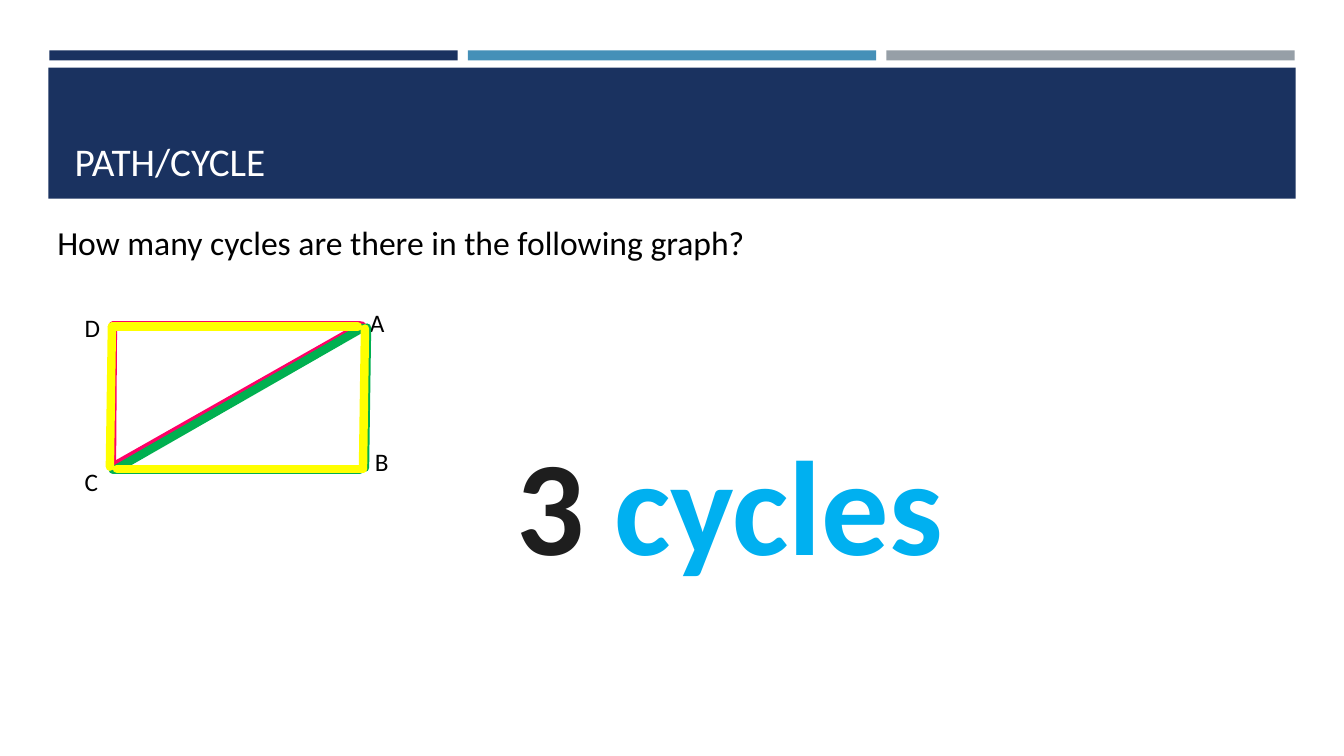
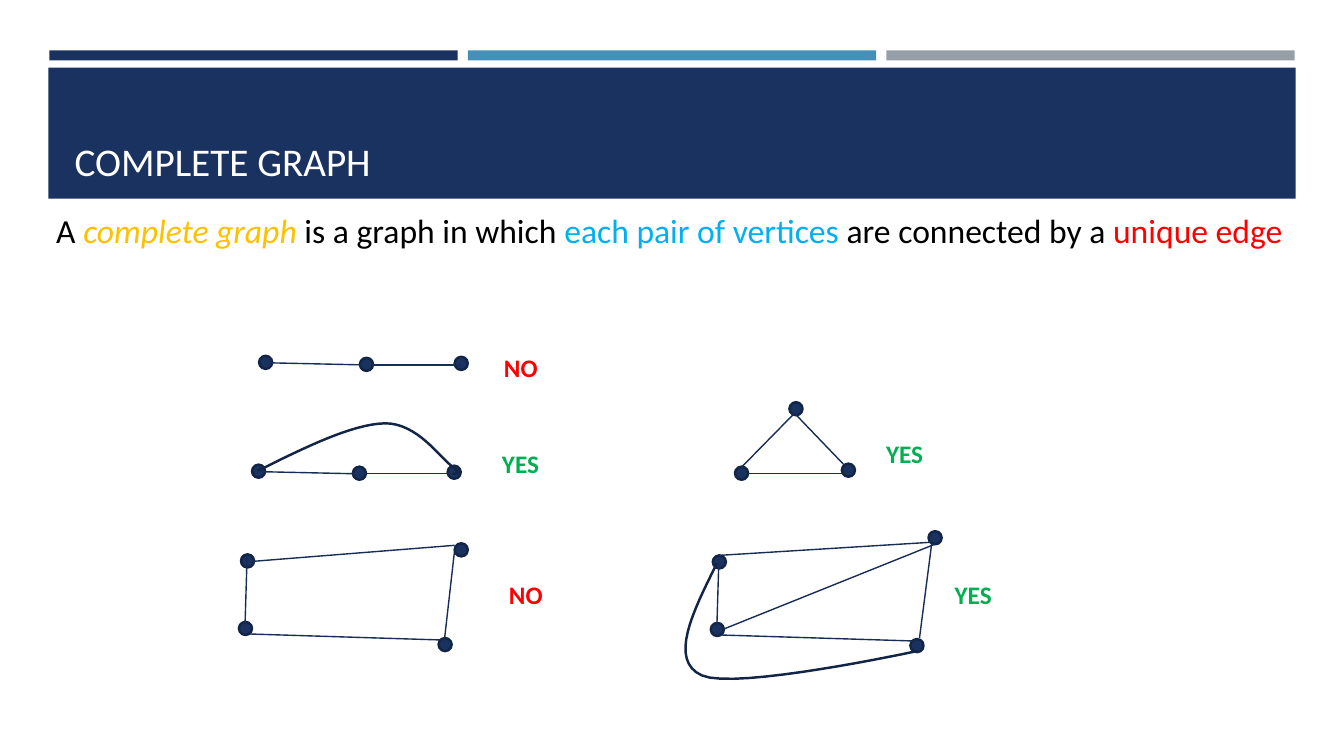
import lxml.etree
import pptx
import pptx.dml.color
import pptx.enum.shapes
import pptx.enum.text
import pptx.oxml.ns
import pptx.util

# Shared look: a grid of one-inch cells, one font, one palette
COLUMNS, ROWS = 13.33, 7.5
FONT = "Calibri"
NAVY, BLUE, GREY, WHITE, BLACK = "1A3260", "4590B8", "969FA7", "FFFFFF", "000000"
OUTLINE, EDGE = "132547", "172D56"
RED, GREEN, SKY, AMBER = "FF0000", "00B050", "00B0F0", "FFC000"
PINK, YELLOW, CHARCOAL = "FF0066", "FFFF00", "1E1E1E"
DOT = 0.13
SHAPES = pptx.enum.shapes.MSO_SHAPE


def cells(*counts):
    return [pptx.util.Inches(count) for count in counts]


def color(code):
    return pptx.dml.color.RGBColor.from_string(code)


# Kinds of element
def write(para, text, size=18, ink=BLACK, bold=False, italic=False):
    span = para.add_run()
    span.text = text
    font = span.font
    font.name, font.size = FONT, pptx.util.Pt(size)
    font.bold, font.italic = bold, italic
    font.color.rgb = color(ink)


def add_text(page, place, spans, **style):
    """Each span is a text and a dict of its own format."""
    frame = page.shapes.add_textbox(*cells(*place)).text_frame
    frame.word_wrap = False
    frame.auto_size = pptx.enum.text.MSO_AUTO_SIZE.SHAPE_TO_FIT_TEXT
    for text, own in spans:
        write(frame.paragraphs[0], text, **{**style, **own})


def paint(shape, fill=None, line=None, weight=1.75):
    shape.shadow.inherit = False
    if fill:
        shape.fill.solid()
        shape.fill.fore_color.rgb = color(fill)
    else:
        shape.fill.background()
    if line:
        shape.line.color.rgb = color(line)
        shape.line.width = pptx.util.Pt(weight)
    else:
        shape.line.fill.background()


def add_block(page, kind, place, **look):
    shape = page.shapes.add_shape(kind, *cells(*place))
    paint(shape, **look)
    return shape


def add_edge(page, start, end, ink=EDGE, weight=1, cap="flat"):
    edge = page.shapes.add_connector(
        pptx.enum.shapes.MSO_CONNECTOR.STRAIGHT, *cells(*start, *end))
    edge.line.color.rgb = color(ink)
    edge.line.width = pptx.util.Pt(weight)
    properties = edge.element.spPr
    properties.find(pptx.oxml.ns.qn("a:ln")).set("cap", cap)
    lxml.etree.SubElement(properties, pptx.oxml.ns.qn("a:effectLst"))


def add_curve(page, start, bends, steps=16):
    """Each bend holds two control points and an end point."""
    points = [start]
    for bend in bends:
        anchors = (points[-1], *bend)
        for step in range(1, steps + 1):
            t = step / steps
            weights = ((1 - t) ** 3, 3 * t * (1 - t) ** 2, 3 * t * t * (1 - t), t ** 3)
            points.append(tuple(sum(w * anchor[axis] for w, anchor in zip(weights, anchors))
                                for axis in (0, 1)))
    outline = page.shapes.build_freeform(*cells(*start))
    outline.add_line_segments([cells(*point) for point in points[1:]], close=False)
    paint(outline.convert_to_shape(), line=OUTLINE)


def add_graph(page, dots, edges, left=0, top=0):
    for x, y in dots:
        add_block(page, SHAPES.OVAL, (left + x, top + y, DOT, DOT), fill=NAVY, line=OUTLINE)
    for x1, y1, x2, y2 in edges:
        add_edge(page, (left + x1, top + y1), (left + x2, top + y2))


def add_verdict(page, left, top, complete):
    text, ink, width = ("YES", GREEN, 0.69) if complete else ("NO", RED, 0.64)
    add_text(page, (left, top, width, 0.4), [(text, {})], ink=ink, bold=True)


# Parts that the slides share
def add_page(deck, title):
    page = deck.slides.add_slide(deck.slide_layouts[5])
    holder = page.shapes.title
    holder.left, holder.top, holder.width, holder.height = cells(0.64, 0.77, 12.06, 1.11)
    frame = holder.text_frame
    frame.auto_size = pptx.enum.text.MSO_AUTO_SIZE.NONE
    frame.vertical_anchor = pptx.enum.text.MSO_ANCHOR.BOTTOM
    para = frame.paragraphs[0]
    para.alignment = pptx.enum.text.PP_ALIGN.LEFT
    write(para, title, size=28, ink=WHITE)
    return page


def share_bands(page):
    """Draw the bands and hand them to the layout, behind every title."""
    bands = [add_block(page, SHAPES.RECTANGLE, (0.49 + 4.15 * column, 0.5, 4.05, 0.1), fill=fill)
             for column, fill in enumerate((NAVY, BLUE, GREY))]
    bands.append(add_block(page, SHAPES.RECTANGLE, (0.48, 0.67, 12.37, 1.3), fill=NAVY))
    for band in bands:
        page.slide_layout.shapes.element.append(band.element)


# Slide contents
def fill_cycles(page):
    add_text(page, (0.47, 2.15, 7.07, 0.5),
             [("How many cycles are there in the following graph?", {})], size=24)
    add_block(page, SHAPES.RECTANGLE, (1.11, 3.23, 2.49, 1.43), line=OUTLINE)
    add_edge(page, (3.6, 3.23), (1.11, 4.66), ink=BLACK, weight=1.5)
    for name, left, top, width in (("A", 3.57, 3, 0.37), ("B", 3.62, 4.38, 0.34),
                                   ("C", 0.74, 4.58, 0.38), ("D", 0.74, 3.05, 0.39)):
        add_text(page, (left, top, width, 0.4), [(name, {})])
    cycles = {
        PINK: [(3.59, 3.23, 1.12, 4.63), (1.11, 4.62, 1.12, 3.23), (3.57, 3.23, 1.12, 3.23)],
        GREEN: [(3.57, 4.66, 1.12, 4.66), (3.62, 4.64, 3.64, 3.25), (3.6, 3.25, 1.14, 4.66)],
        YELLOW: [(1.09, 4.63, 1.11, 3.24), (3.55, 3.24, 1.11, 3.24),
                 (3.6, 4.65, 1.16, 4.65), (3.6, 4.65, 3.62, 3.26)],
    }
    for ink, edges in cycles.items():
        for x1, y1, x2, y2 in edges:
            add_edge(page, (x1, y1), (x2, y2), ink=ink, weight=6, cap="rnd")
    add_text(page, (5.02, 4.13, 5.04, 1.72), [("3 ", {}), ("cycles", {"ink": SKY})],
             size=96, ink=CHARCOAL, bold=True)


def fill_complete(page):
    add_text(page, (0.46, 2.03, 12.43, 0.5), [
        ("A ", {}), ("complete graph ", {"ink": AMBER, "italic": True}),
        ("is a graph in which ", {}), ("each pair of vertices ", {"ink": SKY}),
        ("are connected by a ", {}), ("unique edge", {"ink": RED})], size=24)

    # Three vertices in a row, open and then closed by a curve
    for left, top in ((2.57, 3.53), (2.5, 4.61)):
        add_graph(page, [(0, 0), (1, 0.02), (1.94, 0.01)],
                  [(0.11, 0.07, 1.02, 0.09), (1.11, 0.09, 2, 0.09)], left, top)
    add_curve(page, (2.56, 4.67), [((3.02, 4.44), (3.49, 4.21), (3.81, 4.2)),
                                   ((4.14, 4.19), (4.37, 4.55), (4.49, 4.63)),
                                   ((4.6, 4.71), (4.49, 4.7), (4.49, 4.7))])

    # Triangle
    add_graph(page, [(7.83, 3.99), (8.35, 4.6), (7.29, 4.63)],
              [(7.88, 4.1, 7.34, 4.65), (7.89, 4.11, 8.37, 4.61), (7.42, 4.7, 8.37, 4.7)])

    # Four vertices, without and with both diagonals
    add_graph(page, [(2.39, 5.5), (2.37, 6.17), (4.35, 6.33), (4.51, 5.39)],
              [(2.5, 5.57, 4.51, 5.41), (4.51, 5.45, 4.41, 6.33),
               (4.41, 6.35, 2.48, 6.29), (2.43, 6.21, 2.45, 5.54)])
    add_graph(page, [(7.07, 5.51), (7.05, 6.18), (9.03, 6.34), (9.21, 5.27)],
              [(7.13, 5.51, 9.23, 5.38), (9.24, 5.4, 9.12, 6.33), (9.09, 6.36, 7.16, 6.3),
               (7.11, 6.22, 7.13, 5.55), (9.27, 5.4, 7.18, 6.24)])
    add_curve(page, (7.11, 5.59), [((6.87, 6.07), (6.63, 6.55), (6.96, 6.7)),
                                   ((7.29, 6.85), (9.09, 6.46), (9.09, 6.46))])

    for left, top, complete in ((4.9, 3.45, False), (4.88, 4.4, True), (8.69, 4.3, True),
                                (4.95, 5.7, False), (9.37, 5.7, True)):
        add_verdict(page, left, top, complete)


def main():
    deck = pptx.Presentation()
    deck.slide_width, deck.slide_height = cells(COLUMNS, ROWS)
    cycle_page = add_page(deck, "PATH/CYCLE")
    share_bands(cycle_page)
    fill_cycles(cycle_page)
    fill_complete(add_page(deck, "COMPLETE GRAPH"))
    deck.save("out.pptx")


main()
